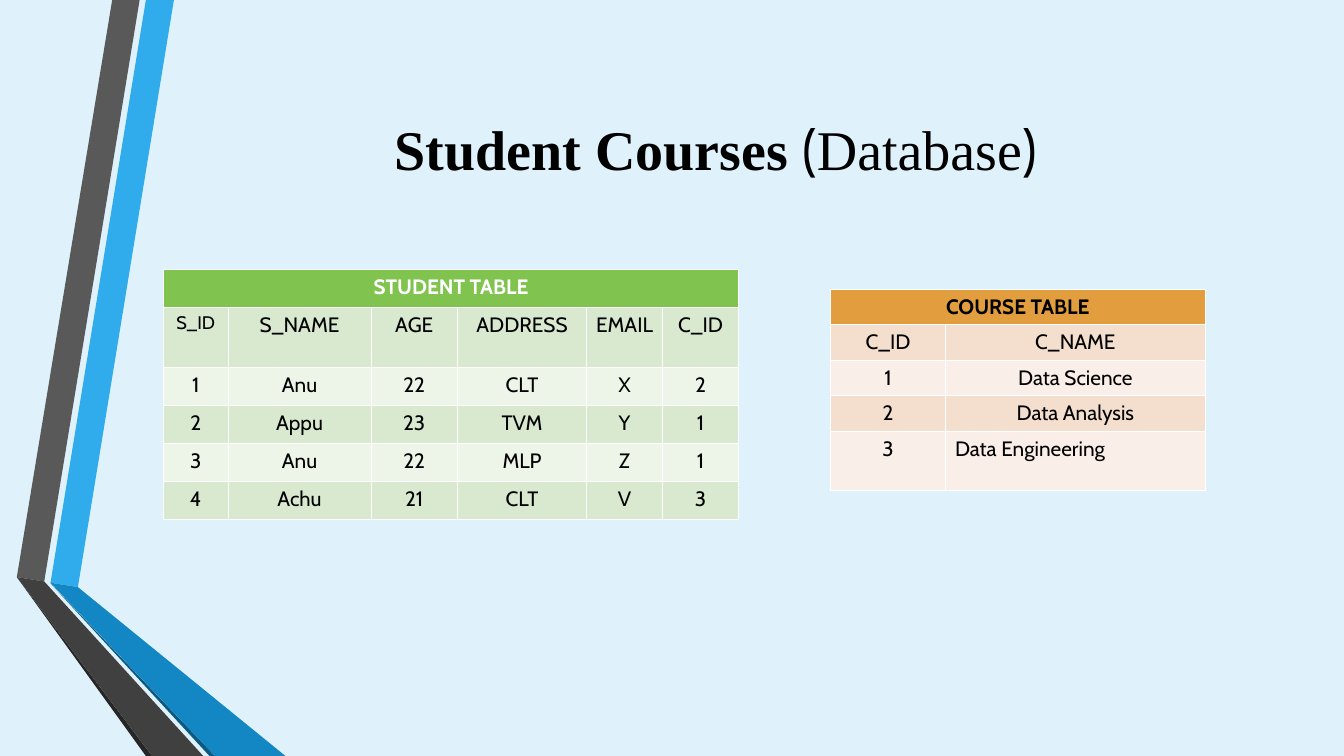
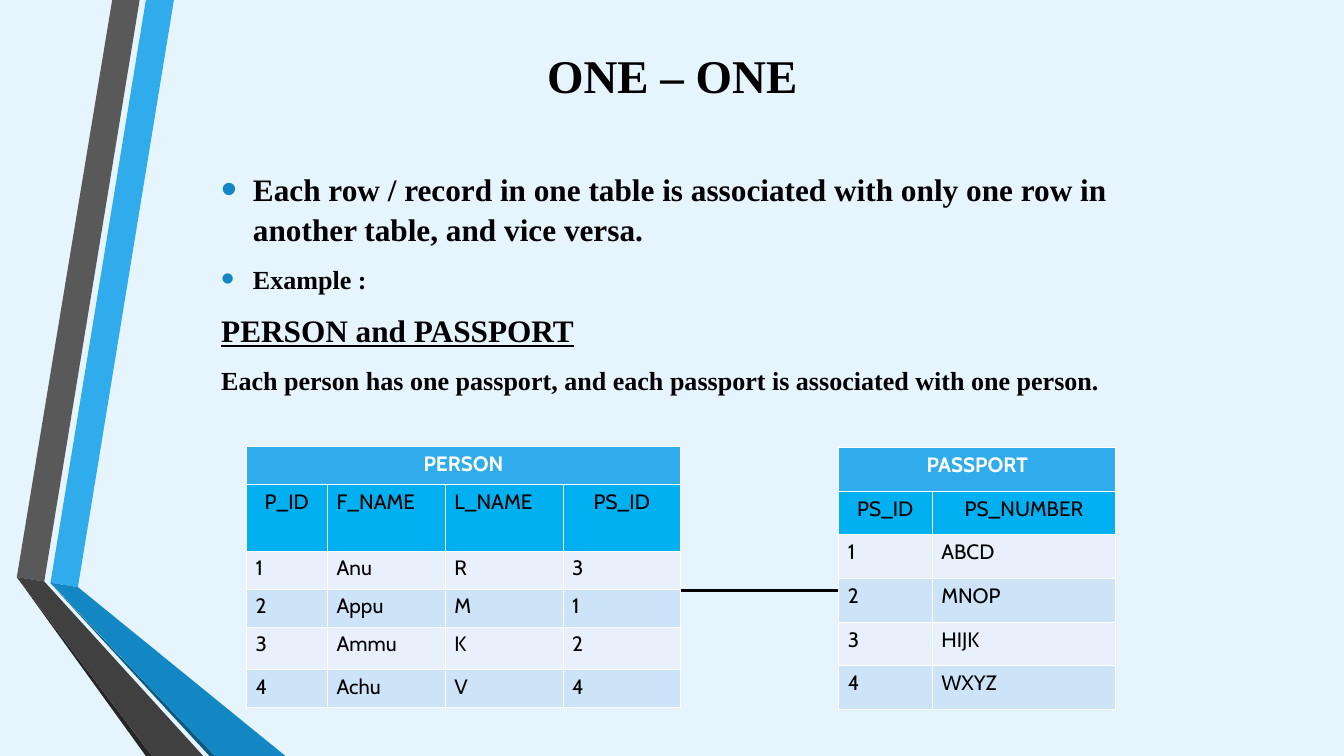
from dataclasses import dataclass

import lxml.etree
import pptx
import pptx.dml.color
import pptx.enum.shapes
import pptx.enum.text
import pptx.oxml.ns
import pptx.slide
import pptx.table
import pptx.text.text
import pptx.util

Inches = pptx.util.Inches
Pt = pptx.util.Pt
Align = pptx.enum.text.PP_ALIGN
Anchor = pptx.enum.text.MSO_ANCHOR
Para = pptx.text.text._Paragraph
Slide = pptx.slide.Slide


@dataclass(frozen=True)
class Theme:
    serif: str = "Times New Roman"
    sans: str = "Cabin"
    ink: str = "000000"
    white: str = "FFFFFF"
    bullet: str = "1287C3"
    hero: float = 64.7
    title: float = 54.2
    large: float = 36.1
    body: float = 30.1
    cell: float = 24
    small: float = 21


THEME = Theme()


@dataclass(frozen=True)
class Band:
    fill: str
    points: tuple[tuple[float, float], ...]


@dataclass(frozen=True)
class Look:
    """Colours of a table: title row, column heads, then the two body stripes."""
    title: str
    ink: str
    head: str
    odd: str
    even: str


@dataclass(frozen=True)
class Grid:
    left: float
    top: float
    cols: tuple[float, ...]
    rows: tuple[float, ...]
    title: str
    head: str
    data: tuple[str, ...]
    look: Look
    aligns: str
    body: Align


@dataclass(frozen=True)
class Item:
    text: str
    size: float
    bullet: bool = False
    under: bool = False


BANDS = (
    Band("30ACEC", ((0.81, 9.35), (1.25, 9.42), (2.79, 0), (2.34, 0))),
    Band("595959", ((2.24, 0), (1.8, 0), (0.27, 9.26), (0.71, 9.33))),
    Band("262626", ((0.27, 9.26), (2.34, 12.13), (2.44, 12.13))),
    Band("0C5A82", ((0.81, 9.36), (3.36, 12.13), (3.45, 12.13))),
    Band("1287C3", ((0.81, 9.35), (3.45, 12.13), (4.58, 12.13), (1.25, 9.42))),
    Band("404040", ((3.26, 12.13), (0.71, 9.33), (0.27, 9.26), (2.44, 12.13))),
)

GREEN = Look("80C34F", THEME.white, "D8E9D0", "EDF5E9", "D8E9D0")
AMBER = Look("E29D3E", THEME.ink, "F4DFCE", "FAEFE8", "F4DFCE")
BLUE = Look("30ACEC", THEME.white, "00B0F0", "E8F1FB", "CDE3F8")

STUDENT = Grid(
    2.62, 4.32, (1.04, 2.29, 1.39, 2.07, 1.22, 1.22),
    (0.61, 0.97, 0.61, 0.61, 0.61, 0.61),
    "STUDENT TABLE", "S_ID S_NAME AGE ADDRESS EMAIL C_ID",
    ("1|Anu|22|CLT|X|2", "2|Appu|23|TVM|Y|1",
     "3|Anu|22|MLP|Z|1", "4|Achu|21|CLT|V|3"),
    GREEN, "cccccc", Align.CENTER)

COURSE = Grid(
    13.32, 4.64, (1.85, 4.16), (0.57,) * 4 + (0.95,),
    "COURSE TABLE", "C_ID C_NAME",
    ("1|Data Science", "2|Data Analysis", "3|Data Engineering"),
    AMBER, "cc", Align.CENTER)

PERSON = Grid(
    3.95, 7.16, (1.3, 1.89, 1.89, 1.89), (0.61, 1.07, 0.61, 0.61, 0.68, 0.61),
    "PERSON", "P_ID F_NAME L_NAME PS_ID",
    ("1|Anu|R|3", "2|Appu|M|1", "3|Ammu|K|2", "4|Achu|V|4"),
    BLUE, "cllc", Align.LEFT)

PASSPORT = Grid(
    13.45, 7.18, (1.5, 2.95), (0.7,) * 6,
    "PASSPORT", "PS_ID PS_NUMBER",
    ("1|ABCD", "2|MNOP", "3|HIJK", "4|WXYZ"),
    BLUE, "cc", Align.LEFT)

ITEMS = (
    Item("Each row / record in one table is associated with only one row in "
         "another table, and vice versa.", THEME.large, bullet=True),
    Item("Example :", THEME.body, bullet=True),
    Item("PERSON and PASSPORT", THEME.large, under=True),
    Item("Each person has one passport, and each passport is associated with "
         "one person.", THEME.body),
)


def rgb(code: str) -> pptx.dml.color.RGBColor:
    return pptx.dml.color.RGBColor.from_string(code)


def style(para: Para, face: str, size: float, color: str, bold: bool) -> None:
    font = para.font
    font.name, font.size, font.bold = face, Pt(size), bold
    font.color.rgb = rgb(color)


def page(deck: pptx.presentation.Presentation, back: str) -> Slide:
    """Add a blank slide with the shared background bands."""
    slide = deck.slides.add_slide(deck.slide_layouts[6])
    slide.background.fill.solid()
    slide.background.fill.fore_color.rgb = rgb(back)
    for band in BANDS:
        points = [(x * 100, y * 100) for x, y in band.points]
        pen = slide.shapes.build_freeform(*points[0], scale=Inches(1) / 100)
        pen.add_line_segments(points[1:], close=True)
        shape = pen.convert_to_shape()
        shape.shadow.inherit = False
        shape.fill.solid()
        shape.fill.fore_color.rgb = rgb(band.fill)
        shape.line.fill.background()
    return slide


def box(slide: Slide, left: float, top: float, width: float, height: float,
        anchor: Anchor) -> pptx.text.text.TextFrame:
    frame = slide.shapes.add_textbox(
        Inches(left), Inches(top), Inches(width), Inches(height)).text_frame
    frame.word_wrap = True
    frame.vertical_anchor = anchor
    return frame


def title(slide: Slide, left: float, top: float, width: float, height: float,
          size: float) -> Para:
    para = box(slide, left, top, width, height, Anchor.MIDDLE).paragraphs[0]
    para.alignment = Align.CENTER
    style(para, THEME.serif, size, THEME.ink, True)
    return para


def dot(para: Para) -> None:
    """Give the paragraph a round bullet and a hanging indent."""
    props = para._p.get_or_add_pPr()
    props.set("marL", str(Inches(0.51)))
    props.set("indent", str(-Inches(0.51)))

    def add(parent: lxml.etree._Element, tag: str, **attrs: str) -> lxml.etree._Element:
        return lxml.etree.SubElement(parent, pptx.oxml.ns.qn(tag), attrs)

    add(add(props, "a:buClr"), "a:srgbClr", val=THEME.bullet)
    add(props, "a:buSzPct", val="145000")
    add(props, "a:buFont", typeface="Arial")
    add(props, "a:buChar", char="•")


def prose(slide: Slide, items: tuple[Item, ...]) -> None:
    frame = box(slide, 3.45, 2.65, 15.77, 4, Anchor.TOP)
    for index, item in enumerate(items):
        para = frame.add_paragraph() if index else frame.paragraphs[0]
        para.text = item.text
        if item.bullet:
            dot(para)
        if index:
            para.space_before = Pt(item.size * 0.2)
        para.space_after = Pt(9.7)
        para.line_spacing = 1.06
        style(para, THEME.serif, item.size, THEME.ink, True)
        para.font.underline = item.under


def put(cell: pptx.table._Cell, text: str, fill: str, align: Align,
        color: str = THEME.ink, bold: bool = False) -> None:
    cell.fill.solid()
    cell.fill.fore_color.rgb = rgb(fill)
    cell.margin_left = cell.margin_right = Inches(0.15)
    cell.margin_top = cell.margin_bottom = Inches(0.08)
    para = cell.text_frame.paragraphs[0]
    para.text = text
    para.alignment = align
    style(para, THEME.sans, THEME.cell, color, bold)


def draw(slide: Slide, grid: Grid) -> pptx.table.Table:
    table = slide.shapes.add_table(
        len(grid.rows), len(grid.cols), Inches(grid.left), Inches(grid.top),
        Inches(sum(grid.cols)), Inches(sum(grid.rows))).table
    for col, width in zip(table.columns, grid.cols):
        col.width = Inches(width)
    for row, height in zip(table.rows, grid.rows):
        row.height = Inches(height)

    look = grid.look
    table.cell(0, 0).merge(table.cell(0, len(grid.cols) - 1))
    put(table.cell(0, 0), grid.title, look.title, Align.CENTER, look.ink, True)
    for col, (text, mark) in enumerate(zip(grid.head.split(), grid.aligns)):
        align = Align.CENTER if mark == "c" else Align.LEFT
        put(table.cell(1, col), text, look.head, align)
    for row, line in enumerate(grid.data, start=2):
        fill = look.even if row % 2 else look.odd
        for col, text in enumerate(line.split("|")):
            put(table.cell(row, col), text, fill, grid.body)
    return table


def link(slide: Slide, start: float, end: float, y: float) -> None:
    line = slide.shapes.add_connector(
        pptx.enum.shapes.MSO_CONNECTOR.STRAIGHT,
        Inches(start), Inches(y), Inches(end), Inches(y))
    line.line.color.rgb = rgb(THEME.ink)
    line.line.width = Pt(3.5)
    lxml.etree.SubElement(line._element.spPr, pptx.oxml.ns.qn("a:effectLst"))


def courses(deck: pptx.presentation.Presentation) -> None:
    slide = page(deck, "DFF2FC")
    para = title(slide, 2.62, 1.21, 17.72, 2.33, THEME.hero)
    para.add_run().text = "Student Courses "
    for text, face in (("(", THEME.sans), ("Database", THEME.serif), (")", THEME.sans)):
        run = para.add_run()
        run.text = text
        run.font.name, run.font.bold = face, False
    table = draw(slide, STUDENT)
    table.cell(1, 0).text_frame.paragraphs[0].font.size = Pt(THEME.small)
    table = draw(slide, COURSE)
    table.cell(4, 1).text_frame.paragraphs[0].alignment = Align.LEFT


def pairs(deck: pptx.presentation.Presentation) -> None:
    slide = page(deck, "E6F5FD")
    title(slide, 2.84, 0.39, 15.89, 1.63, THEME.title).add_run().text = "ONE – ONE"
    prose(slide, ITEMS)
    draw(slide, PERSON)
    draw(slide, PASSPORT)
    link(slide, PERSON.left + sum(PERSON.cols), PASSPORT.left, 9.48)


def main() -> None:
    deck = pptx.Presentation()
    deck.slide_width, deck.slide_height = Inches(21.56), Inches(12.13)
    courses(deck)
    pairs(deck)
    deck.save("out.pptx")


if __name__ == "__main__":
    main()
